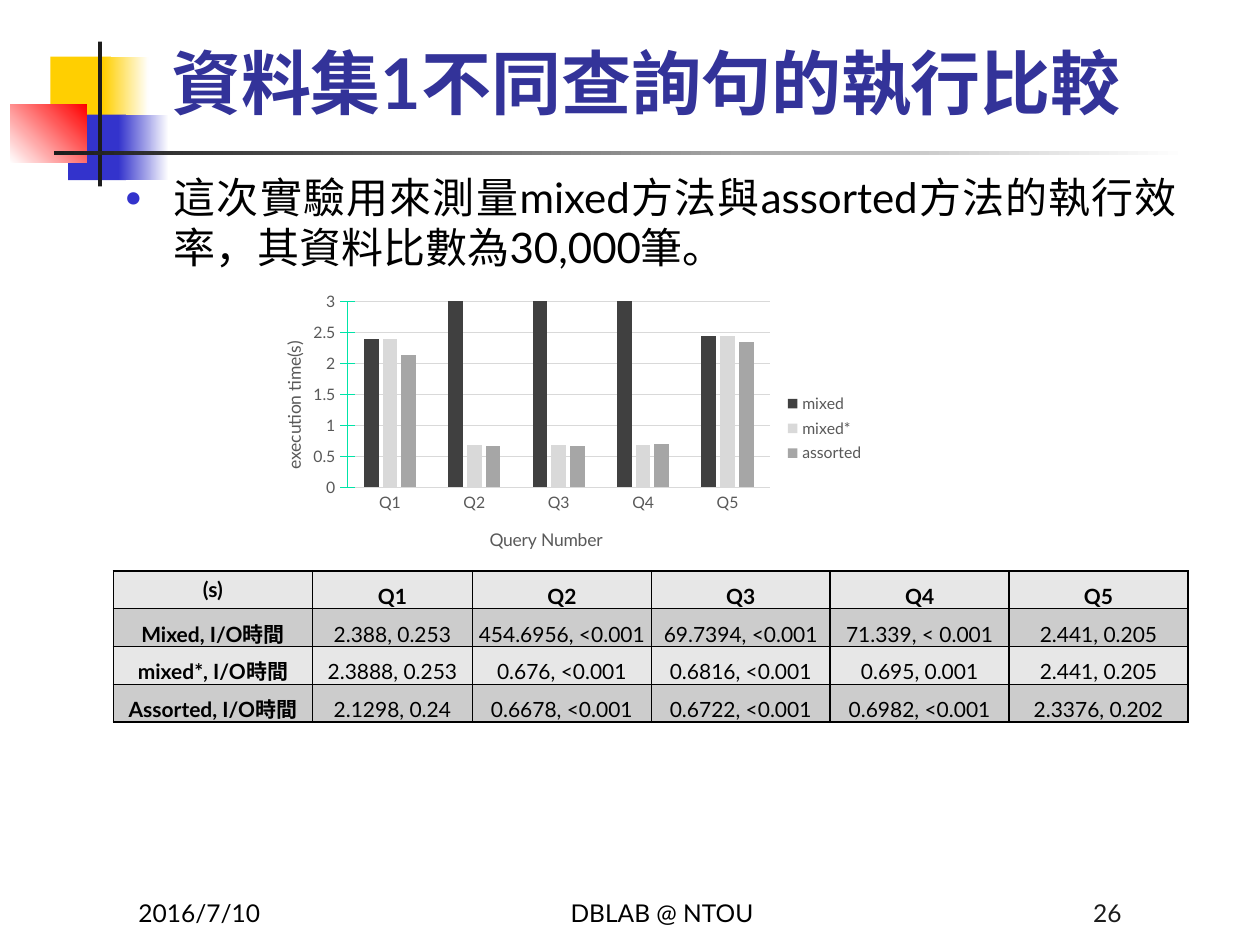
from lxml.etree import SubElement
from pptx import Presentation
from pptx.chart.data import CategoryChartData
from pptx.dml.color import RGBColor
from pptx.enum.chart import XL_CHART_TYPE, XL_LEGEND_POSITION, XL_TICK_MARK
from pptx.enum.shapes import MSO_SHAPE
from pptx.enum.text import MSO_ANCHOR, PP_ALIGN
from pptx.oxml import parse_xml
from pptx.oxml.ns import nsdecls, qn
from pptx.util import Inches, Pt

FONT = "Lato"


def color(value):
    return RGBColor.from_string(value)


def write(frame, text, size=14, fill="000000", bold=False, align=PP_ALIGN.LEFT,
          anchor=MSO_ANCHOR.BOTTOM, spacing=None):
    """Put one formatted paragraph into a text frame and return it."""
    frame.word_wrap = True
    frame.vertical_anchor = anchor
    paragraph = frame.paragraphs[0]
    paragraph.alignment = align
    paragraph.line_spacing = spacing
    run = paragraph.add_run()
    run.text = text
    run.font.size, run.font.bold, run.font.name = Pt(size), bold, FONT
    run.font.color.rgb = color(fill)
    SubElement(run.font._element, qn("a:ea")).set("typeface", FONT)
    return paragraph


presentation = Presentation()
presentation.slide_width, presentation.slide_height = Inches(10), Inches(7.5)
slide = presentation.slides.add_slide(presentation.slide_layouts[6])

# Corner ornament and title rule: box, start colour, end colour, angle
ornaments = [
    ((0.4, 0.45, 0.48, 0.52), "FFCF01", None, 0),
    ((0.82, 0.45, 0.36, 0.52), "FFCF01", "FFFFFF", 0),
    ((0.54, 0.91, 0.46, 0.52), "3333CC", None, 0),
    ((0.94, 0.91, 0.4, 0.52), "3333CC", "FFFFFF", 0),
    ((0.08, 0.83, 0.61, 0.46), "FFFFFF", "FF0000", 45),
    ((0.78, 0.33, 0.03, 1.15), "1C1C1C", None, 0),
    ((0.43, 1.2, 9, 0.03), "1C1C1C", "FFFFFF", 0),
]
for box, start, end, angle in ornaments:
    shape = slide.shapes.add_shape(MSO_SHAPE.RECTANGLE, *map(Inches, box))
    shape.shadow.inherit = False
    shape.line.fill.background()
    if end:
        shape.fill.gradient()
        shape.fill.gradient_angle = angle
        for stop, value in zip(shape.fill.gradient_stops, (start, end)):
            stop.color.rgb = color(value)
    else:
        shape.fill.solid()
        shape.fill.fore_color.rgb = color(start)

# Title, body and footer texts
texts = [
    ((1.26, 0.17, 8.52, 0.86), "資料集1不同查詢句的執行比較",
     dict(size=40, fill="333399", bold=True)),
    ((0.9, 1.31, 8.54, 0.9),
     "這次實驗用來測量mixed方法與assorted方法的執行效率，其資料比數為30,000筆。",
     dict(size=24, align=PP_ALIGN.JUSTIFY, anchor=MSO_ANCHOR.TOP)),
    ((1, 6.91, 2.08, 0.5), "2016/7/10", {}),
    ((3.67, 6.91, 3.17, 0.5), "DBLAB @ NTOU", dict(align=PP_ALIGN.CENTER)),
    ((6.92, 6.91, 2.08, 0.5), "26", dict(fill="1C1C1C", align=PP_ALIGN.RIGHT)),
]
for box, text, style in texts:
    text_box = slide.shapes.add_textbox(*map(Inches, box))
    paragraph = write(text_box.text_frame, text, **style)
    if style.get("align") == PP_ALIGN.JUSTIFY:
        # Bulleted body paragraph
        paragraph.space_before = Pt(4.8)
        properties = paragraph._p.get_or_add_pPr()
        properties.set("marL", str(Inches(0.38)))
        properties.set("indent", str(-Inches(0.38)))
        bullet_color = SubElement(properties, qn("a:buClr"))
        SubElement(bullet_color, qn("a:srgbClr")).set("val", "3333CC")
        SubElement(properties, qn("a:buSzPct")).set("val", "60000")
        SubElement(properties, qn("a:buFont")).set("typeface", FONT)
        SubElement(properties, qn("a:buChar")).set("char", "●")

# Execution time chart
series_data = [
    ("mixed", (2.39, 454.7, 69.74, 71.34, 2.44), "404040"),
    ("mixed*", (2.39, 0.68, 0.68, 0.69, 2.44), "D9D9D9"),
    ("assorted", (2.13, 0.67, 0.67, 0.7, 2.34), "A6A6A6"),
]
queries = ["Q1", "Q2", "Q3", "Q4", "Q5"]
chart_data = CategoryChartData()
chart_data.categories = queries
for name, values, _ in series_data:
    chart_data.add_series(name, values)
chart = slide.shapes.add_chart(
    XL_CHART_TYPE.COLUMN_CLUSTERED, Inches(1.96), Inches(2.28),
    Inches(5), Inches(2.24), chart_data).chart
chart.has_title = False
chart.font.size, chart.font.name = Pt(9), FONT
chart.font.color.rgb = color("595959")
plot = chart.plots[0]
plot.gap_width, plot.overlap, plot.vary_by_categories = 219, -27, False
for series, (_, _, fill) in zip(plot.series, series_data):
    series.format.fill.solid()
    series.format.fill.fore_color.rgb = color(fill)
    series.invert_if_negative = False
chart.has_legend = True
chart.legend.position = XL_LEGEND_POSITION.RIGHT
chart.legend.include_in_layout = False

category_axis, value_axis = chart.category_axis, chart.value_axis
value_axis.minimum_scale, value_axis.maximum_scale, value_axis.major_unit = 0, 3, 0.5
value_axis.tick_labels.number_format = "General"
value_axis.tick_labels.number_format_is_linked = False
gridlines = value_axis.major_gridlines.format.line
gridlines.color.rgb, gridlines.width = color("D9D9D9"), Pt(0.75)
for axis, title, line, tick in (
        (category_axis, "Query Number", "D9D9D9", XL_TICK_MARK.NONE),
        (value_axis, "execution time(s)", "00E4A8", XL_TICK_MARK.CROSS)):
    axis.major_tick_mark, axis.minor_tick_mark = tick, XL_TICK_MARK.NONE
    axis.format.line.color.rgb, axis.format.line.width = color(line), Pt(0.75)
    run = axis.axis_title.text_frame.paragraphs[0].add_run()
    run.text = title
    run.font.size, run.font.bold, run.font.name = Pt(10), False, FONT
    run.font.color.rgb = color("595959")

# Chart part positions, as fractions of the chart
layouts = [
    (plot._element.getparent(), 0, dict(x=0.16, y=0.05, w=0.67, h=0.66)),
    (category_axis.axis_title._element, 1, dict(x=0.38, y=0.84)),
    (value_axis.axis_title._element, 1, dict(x=0.05, y=0.18)),
]
for parent, index, fractions in layouts:
    for old in parent.findall(qn("c:layout")):
        parent.remove(old)
    target = '<c:layoutTarget val="inner"/>' if "w" in fractions else ""
    modes = "".join(f'<c:{key}Mode val="edge"/>' for key in "xy")
    places = "".join(f'<c:{key} val="{value}"/>' for key, value in fractions.items())
    parent.insert(index, parse_xml(
        f'<c:layout {nsdecls("c")}><c:manualLayout>{target}{modes}{places}'
        '</c:manualLayout></c:layout>'))

# Table of execution and I/O times
rows = [
    ["(s)"] + queries,
    ["Mixed, I/O時間", "2.388, 0.253", "454.6956, <0.001", "69.7394, <0.001",
     "71.339, < 0.001", "2.441, 0.205"],
    ["mixed*, I/O時間", "2.3888, 0.253", "0.676, <0.001", "0.6816, <0.001",
     "0.695, 0.001", "2.441, 0.205"],
    ["Assorted, I/O時間", "2.1298, 0.24", "0.6678, <0.001", "0.6722, <0.001",
     "0.6982, <0.001", "2.3376, 0.202"],
]
table = slide.shapes.add_table(
    len(rows), 6, Inches(0.9), Inches(4.53), Inches(8.54), Inches(1.2)).table
for column, width in zip(table.columns, [1.58, 1.27] + [1.42] * 4):
    column.width = Inches(width)
for row_index, row in enumerate(rows):
    table.rows[row_index].height = Inches(0.3)
    for column_index, text in enumerate(row):
        cell = table.cell(row_index, column_index)
        cell.margin_left = cell.margin_right = Inches(0.02)
        cell.margin_top = cell.margin_bottom = 0
        cell.vertical_anchor = MSO_ANCHOR.MIDDLE
        for side in ("lnL", "lnR", "lnT", "lnB"):
            cell._tc.get_or_add_tcPr().append(parse_xml(
                f'<a:{side} {nsdecls("a")} w="{Pt(1)}"><a:solidFill>'
                f'<a:srgbClr val="000000"/></a:solidFill></a:{side}>'))
        cell.fill.solid()
        cell.fill.fore_color.rgb = color("CCCCCC" if row_index % 2 else "E7E7E7")
        write(cell.text_frame, text, size=12, align=PP_ALIGN.CENTER, anchor=None,
              bold=row_index == 0 or column_index == 0,
              spacing=None if row_index == column_index == 0 else 1.5)

presentation.save("out.pptx")
